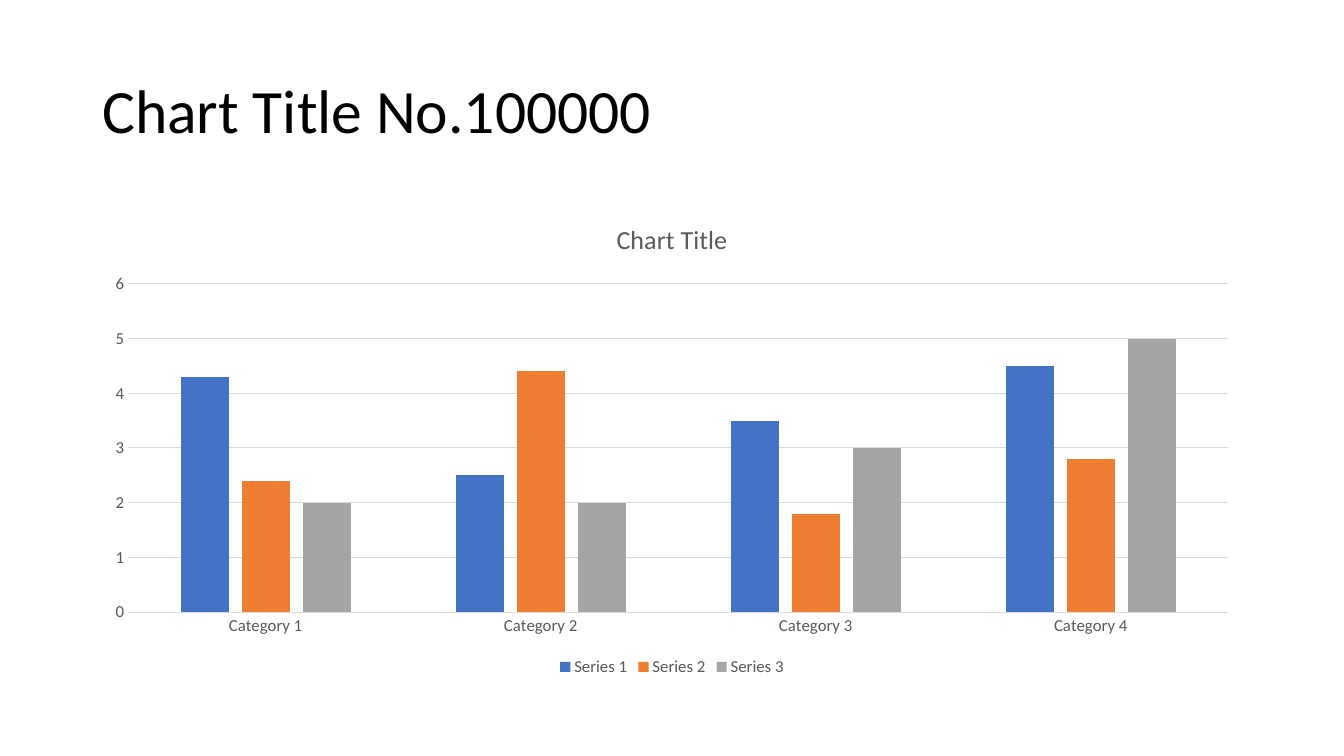
from pptx import Presentation
from pptx.chart.data import CategoryChartData
from pptx.dml.color import RGBColor
from pptx.enum.chart import XL_CHART_TYPE, XL_LEGEND_POSITION, XL_TICK_MARK
from pptx.enum.text import MSO_ANCHOR
from pptx.util import Cm, Pt

CLUSTERED = XL_CHART_TYPE.COLUMN_CLUSTERED
BOTTOM = XL_LEGEND_POSITION.BOTTOM
NO_TICK = XL_TICK_MARK.NONE
MIDDLE = MSO_ANCHOR.MIDDLE

HEADING = "Chart Title No.100000"
CHART_HEADING = "Chart Title"
CATEGORIES = ["Category 1", "Category 2", "Category 3", "Category 4"]
SERIES = [
    ("Series 1", (4.3, 2.5, 3.5, 4.5), "4472C4"),
    ("Series 2", (2.4, 4.4, 1.8, 2.8), "ED7D31"),
    ("Series 3", (2, 2, 3, 5), "A5A5A5"),
]
FONT, BLACK, GREY, RULE = "Calibri", "000000", "595959", "D9D9D9"
LEFT, WIDTH = Cm(2.33), Cm(29.21)


def color(value):
    return RGBColor.from_string(value)


def set_all(target, **values):
    for key, value in values.items():
        setattr(target, key, value)


def style_font(font, size, ink):
    set_all(font, name=FONT, size=Pt(size), bold=False)
    font.color.rgb = color(ink)


def style_line(line):
    line.color.rgb = color(RULE)
    line.width = Pt(0.75)


deck = Presentation()
set_all(deck, slide_width=Cm(33.87), slide_height=Cm(19.05))
slide = deck.slides.add_slide(deck.slide_layouts[6])

heading = slide.shapes.add_textbox(LEFT, Cm(1.01), WIDTH, Cm(3.68)).text_frame
set_all(heading, word_wrap=True, vertical_anchor=MIDDLE, text=HEADING)
heading.paragraphs[0].line_spacing = 0.9
style_font(heading.paragraphs[0].runs[0].font, 44, BLACK)

data = CategoryChartData()
data.categories = CATEGORIES
for name, values, fill in SERIES:
    data.add_series(name, values)
chart = slide.shapes.add_chart(CLUSTERED, LEFT, Cm(5.07), WIDTH, Cm(12.09), data).chart
style_font(chart.font, 10, BLACK)

chart.has_title = True
chart_heading = chart.chart_title
chart_heading.include_in_layout = False
chart_heading.text_frame.text = CHART_HEADING
style_font(chart_heading.text_frame.paragraphs[0].runs[0].font, 18.6, GREY)

chart.has_legend = True
set_all(chart.legend, position=BOTTOM, include_in_layout=False)
style_font(chart.legend.font, 12, GREY)

columns = chart.plots[0]
set_all(columns, gap_width=219, overlap=-27, vary_by_categories=False)
for series, (name, values, fill) in zip(columns.series, SERIES):
    series.format.fill.solid()
    series.format.fill.fore_color.rgb = color(fill)
    series.invert_if_negative = False

for axis in (chart.category_axis, chart.value_axis):
    set_all(axis, major_tick_mark=NO_TICK, minor_tick_mark=NO_TICK)
    style_font(axis.tick_labels.font, 12, GREY)
style_line(chart.category_axis.format.line)
set_all(chart.value_axis, minimum_scale=0, maximum_scale=6, major_unit=1)
chart.value_axis.format.line.fill.background()
style_line(chart.value_axis.major_gridlines.format.line)

deck.save("out.pptx")
